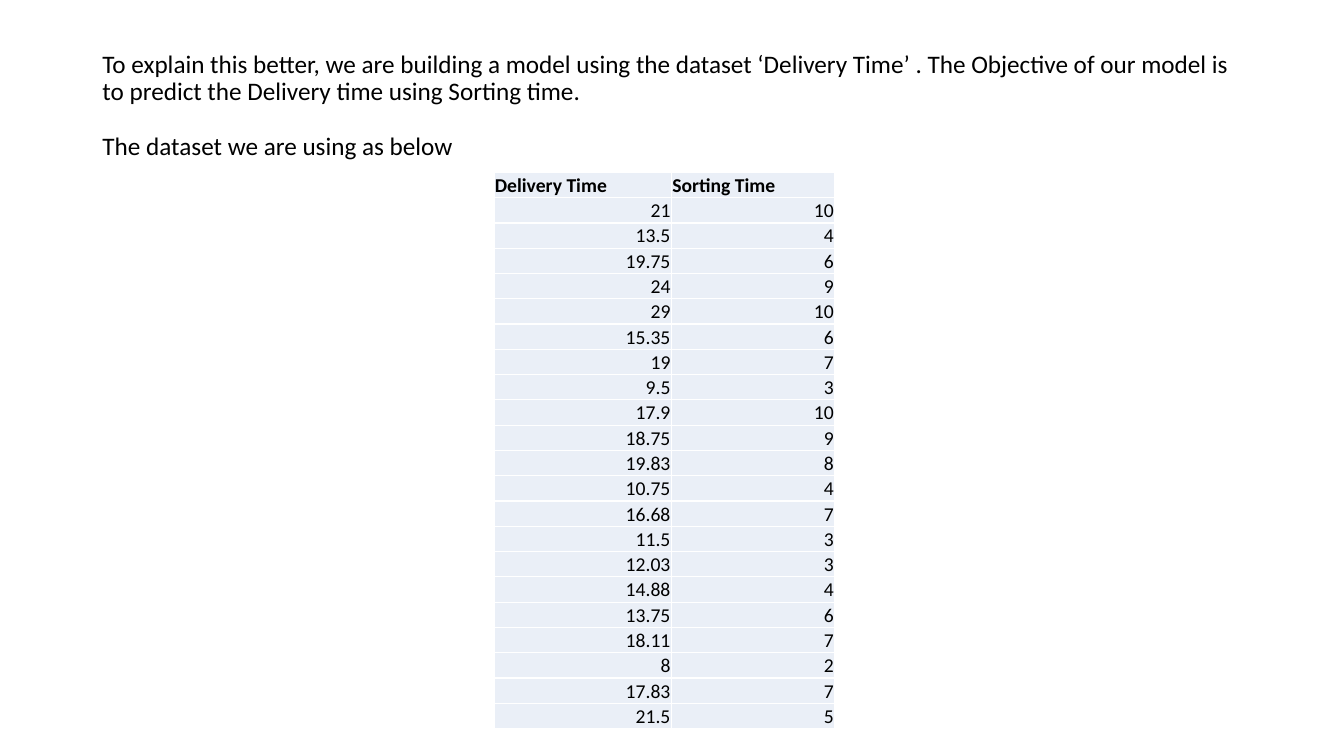
"""Build the slide that shows the Delivery Time dataset."""
from dataclasses import dataclass
from typing import NamedTuple

from lxml.etree import SubElement
from pptx import Presentation
from pptx.dml.color import RGBColor
from pptx.enum.text import MSO_ANCHOR as Anchor, MSO_AUTO_SIZE as AutoSize, PP_ALIGN as Align
from pptx.oxml.ns import qn
from pptx.slide import Slide
from pptx.table import _Cell as Cell
from pptx.text.text import _Paragraph as Paragraph
from pptx.util import Pt


@dataclass(frozen=True)
class Theme:
    font: str = "Calibri"
    ink: str = "000000"
    cell_fill: str = "EAEFF7"
    border: str = "FFFFFF"
    border_width: float = 1
    title_size: float = 18
    table_size: float = 14


class Box(NamedTuple):
    left: float
    top: float
    width: float
    height: float


class Delivery(NamedTuple):
    delivery_time: float
    sorting_time: int


THEME = Theme()
SLIDE_SIZE = (960, 540)
TITLE_BOX = Box(66, 28.8, 828, 94.4)
TABLE_BOX = Box(352.8, 123.1, 243.4, 397.5)
COLUMN_WIDTHS = (126.8, 116.6)
INTRO = (
    "To explain this better, we are building a model using the dataset ‘Delivery Time’ . "
    "The Objective of our model is to predict the Delivery time using Sorting time.",
    "The dataset we are using as below",
)
HEADINGS = ("Delivery Time", "Sorting Time")
DELIVERIES = (
    Delivery(21, 10),
    Delivery(13.5, 4),
    Delivery(19.75, 6),
    Delivery(24, 9),
    Delivery(29, 10),
    Delivery(15.35, 6),
    Delivery(19, 7),
    Delivery(9.5, 3),
    Delivery(17.9, 10),
    Delivery(18.75, 9),
    Delivery(19.83, 8),
    Delivery(10.75, 4),
    Delivery(16.68, 7),
    Delivery(11.5, 3),
    Delivery(12.03, 3),
    Delivery(14.88, 4),
    Delivery(13.75, 6),
    Delivery(18.11, 7),
    Delivery(8, 2),
    Delivery(17.83, 7),
    Delivery(21.5, 5),
)


def style_paragraph(paragraph: Paragraph, size: float, align: Align, bold: bool = False) -> None:
    paragraph.alignment = align
    font = paragraph.font
    font.name, font.size, font.bold = THEME.font, Pt(size), bold
    font.color.rgb = RGBColor.from_string(THEME.ink)


def add_intro(slide: Slide) -> None:
    title = slide.shapes.title
    title.left, title.top, title.width, title.height = map(Pt, TITLE_BOX)
    frame = title.text_frame
    frame.text = "\n".join(INTRO)
    frame.word_wrap = True
    frame.auto_size = AutoSize.NONE
    frame.vertical_anchor = Anchor.MIDDLE
    for paragraph in frame.paragraphs:
        style_paragraph(paragraph, THEME.title_size, Align.LEFT)
        paragraph.line_spacing = 0.9
        paragraph.space_before = Pt(0)
    frame.paragraphs[-1].space_before = Pt(19.8)


def add_borders(cell: Cell) -> None:
    properties = cell._tc.get_or_add_tcPr()
    for side in ("a:lnL", "a:lnR", "a:lnT", "a:lnB"):
        line = SubElement(properties, qn(side), w=str(Pt(THEME.border_width)))
        fill = SubElement(line, qn("a:solidFill"))
        SubElement(fill, qn("a:srgbClr"), val=THEME.border)


def fill_cell(cell: Cell, text: str, heading: bool) -> None:
    cell.text = text
    cell.vertical_anchor = Anchor.BOTTOM
    cell.margin_left = cell.margin_right = cell.margin_top = Pt(0.7)
    cell.margin_bottom = Pt(0)
    align = Align.LEFT if heading else Align.RIGHT
    style_paragraph(cell.text_frame.paragraphs[0], THEME.table_size, align, heading)
    add_borders(cell)
    cell.fill.solid()
    cell.fill.fore_color.rgb = RGBColor.from_string(THEME.cell_fill)


def add_dataset(slide: Slide) -> None:
    rows = (HEADINGS, *DELIVERIES)
    table = slide.shapes.add_table(len(rows), len(HEADINGS), *map(Pt, TABLE_BOX)).table
    table.horz_banding = False
    for column, width in zip(table.columns, COLUMN_WIDTHS):
        column.width = Pt(width)
    for row_index, values in enumerate(rows):
        for column_index, value in enumerate(values):
            fill_cell(table.cell(row_index, column_index), str(value), row_index == 0)


def main() -> None:
    deck = Presentation()
    deck.slide_width, deck.slide_height = map(Pt, SLIDE_SIZE)
    slide = deck.slides.add_slide(deck.slide_layouts.get_by_name("Title Only"))
    add_intro(slide)
    add_dataset(slide)
    deck.save("out.pptx")


if __name__ == "__main__":
    main()
